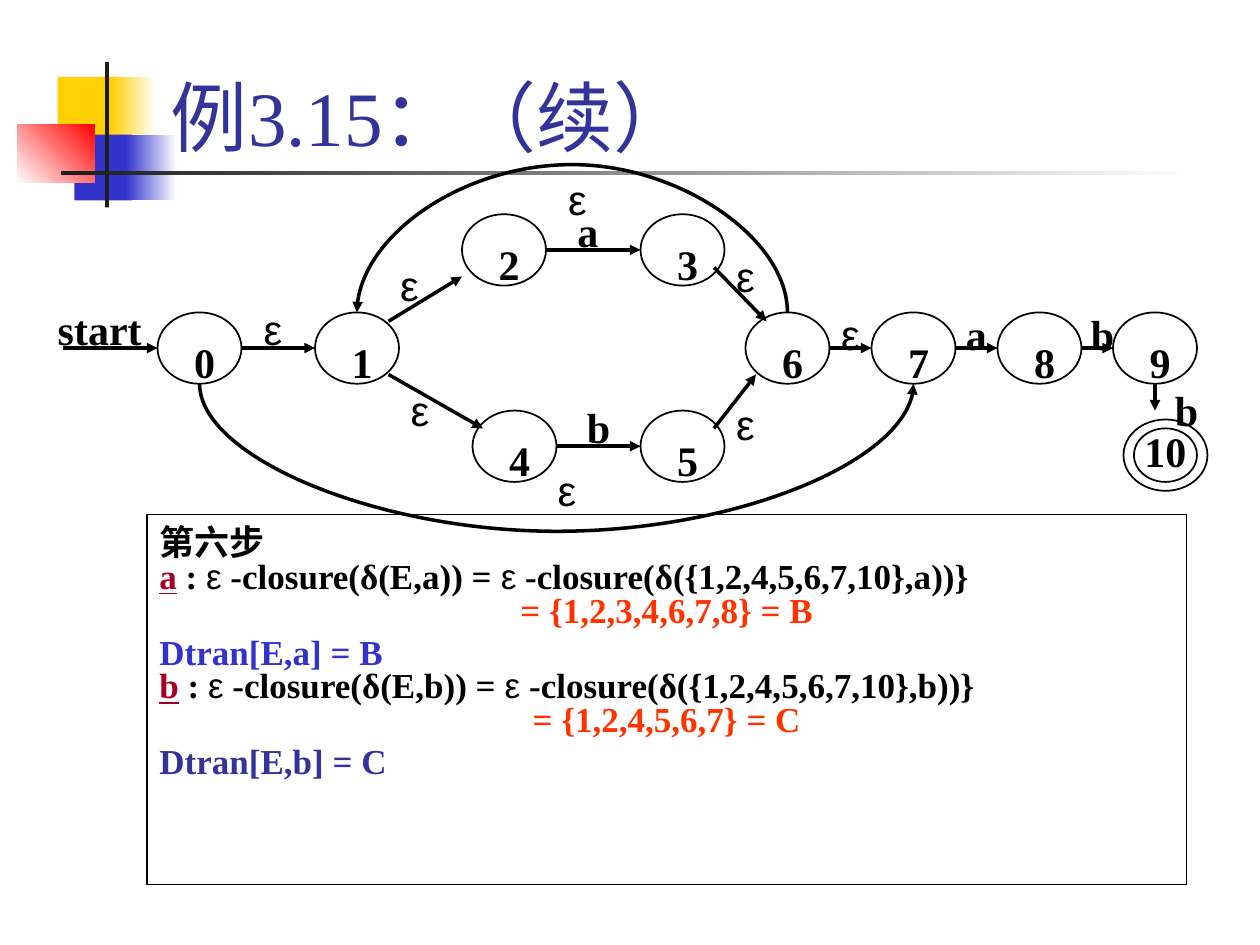
"""Build the slide that traces step six of an NFA to DFA conversion."""
from lxml.etree import SubElement
from pptx import Presentation
from pptx.dml.color import RGBColor
from pptx.enum.shapes import MSO_CONNECTOR, MSO_SHAPE
from pptx.enum.text import MSO_ANCHOR, MSO_AUTO_SIZE, PP_ALIGN
from pptx.oxml.ns import qn
from pptx.util import Pt

COLORS = {
    "black": "000000", "white": "FFFFFF", "ink": "1C1C1C", "yellow": "FFCF01",
    "blue": "3333CC", "red": "FF0000", "navy": "333399", "crimson": "A50021",
    "orange": "FF3300",
}
SERIF, SANS = "Times New Roman", "Arial"


def add_span(para, text, size=24, color="black", bold=True, underline=False):
    span = para.add_run()
    span.text = text
    epsilon = text == "ε"
    span.font.name = SANS if epsilon else SERIF
    span.font.size = Pt(size)
    span.font.bold = bold and not epsilon
    span.font.underline = underline
    span.font.color.rgb = RGBColor.from_string(COLORS[color])


def add_arrow(kind, start_x, start_y, end_x, end_y):
    arrow = page.shapes.add_connector(kind, Pt(start_x), Pt(start_y), Pt(end_x), Pt(end_y))
    arrow.line.color.rgb = RGBColor.from_string(COLORS["black"])
    arrow.line.width = Pt(2)
    SubElement(arrow.line._get_or_add_ln(), qn("a:tailEnd"), type="triangle")
    SubElement(arrow._element.spPr, qn("a:effectLst"))
    return arrow


deck = Presentation()
deck.slide_width, deck.slide_height = Pt(720), Pt(540)
page = deck.slides.add_slide(deck.slide_layouts[5])

decorations = [
    (33, 44, 35, 37.5, "yellow", None, 0),
    (63, 44, 26, 37.5, "yellow", "white", 0),
    (42.5, 77, 33, 37.5, "blue", None, 0),
    (72, 77, 29, 37.5, "blue", "white", 0),
    (10, 71, 44, 33.5, "white", "red", 45),
    (60, 35.5, 2.25, 83, "ink", None, 0),
    (34.8, 97.8, 648, 2.25, "ink", "white", 0),
]
for left, top, width, height, first, last, angle in decorations:
    block = page.shapes.add_shape(MSO_SHAPE.RECTANGLE, Pt(left), Pt(top), Pt(width), Pt(height))
    block.shadow.inherit = False
    block.line.fill.background()
    if last:
        block.fill.gradient()
        block.fill.gradient_angle = angle
        for stop, position, color in zip(block.fill.gradient_stops, (0, 1), (first, last)):
            stop.position = position
            stop.color.rgb = RGBColor.from_string(COLORS[color])
    else:
        block.fill.solid()
        block.fill.fore_color.rgb = RGBColor.from_string(COLORS[first])

title = page.shapes.title
title.left, title.top, title.width, title.height = Pt(90.5), Pt(6), Pt(613.5), Pt(90)
title.text_frame.vertical_anchor = MSO_ANCHOR.BOTTOM
title.text_frame.paragraphs[0].alignment = PP_ALIGN.LEFT
add_span(title.text_frame.paragraphs[0], "例3.15：（续）", size=44, color="navy", bold=False)

top_row, middle_row, bottom_row = 122.4, 178.5, 234.6
node_width, node_height = 48, 40.8
states = {
    "0": (90, middle_row), "1": (180, middle_row), "2": (264, top_row),
    "3": (366, top_row), "4": (270, bottom_row), "5": (366, bottom_row),
    "6": (426, middle_row), "7": (498, middle_row), "8": (570, middle_row),
    "9": (636, middle_row),
}
ovals = [(left, top, node_width, node_height) for left, top in states.values()]
ovals += [(642, 239.7, node_width, node_height), (648, 244.8, 36, 30.6)]
frames = [(MSO_SHAPE.OVAL, *oval) for oval in ovals]
frames.append((MSO_SHAPE.RECTANGLE, 84, 294, 594, 211.5))
for kind, left, top, width, height in frames:
    outline = page.shapes.add_shape(kind, Pt(left), Pt(top), Pt(width), Pt(height))
    outline.shadow.inherit = False
    outline.fill.background()
    outline.line.color.rgb = RGBColor.from_string(COLORS["black"])
    outline.line.width = Pt(1)

arrows = [(36, 198.9, 90, 198.9)]
for source, target in ("01", "23", "45", "67", "78", "89"):
    start_x, row = states[source]
    center_y = row + node_height / 2
    arrows.append((start_x + node_width, center_y, states[target][0], center_y))
arrows += [
    (222, 183.6, 264, 158), (222, 214, 276, 244.8), (408, 152.8, 438, 183.6),
    (408, 244.8, 432, 214), (660, 219.3, 660, 234.6),
]
for ends in arrows:
    add_arrow(MSO_CONNECTOR.STRAIGHT, *ends)

bend_width = 0.1
curves = [
    (114, 522, middle_row + node_height, 74400000, False),
    (204, 450, middle_row, -74400000, True),
]
for left, right, level, bend, flipped in curves:
    span_length = right - left
    curve = add_arrow(MSO_CONNECTOR.CURVE, 0, 0, bend_width, span_length)
    curve.left = Pt((left + right - bend_width) / 2)
    curve.top = Pt(level - span_length / 2)
    frame = curve._element.spPr.find(qn("a:xfrm"))
    frame.set("rot", "16200000")
    frame.set("flipH", "1")
    if flipped:
        frame.set("flipV", "1")
    guides = curve._element.spPr.find(qn("a:prstGeom")).find(qn("a:avLst"))
    SubElement(guides, qn("a:gd"), name="adj1", fmla=f"val {bend}")

labels = [(name, left + 12, top + 10.2, 30) for name, (left, top) in states.items()]
labels += [("10", 642, 239.7, 48), ("start", 24, 170, 66)]
labels += [("ε", left, top, 36) for left, top in (
    (138, 170), (216, 144.7), (222, 216), (306, 262), (312, 95.8),
    (408, 139.7), (408, 224), (468, 173),
)]
labels += [
    ("a", 540, 173, 36), ("a", 318, 113.8, 36), ("b", 324, 226, 36),
    ("b", 612, 173, 36), ("b", 660, 216, 36),
]
for text, left, top, width in labels:
    box = page.shapes.add_textbox(Pt(left), Pt(top), Pt(width), Pt(36))
    box.text_frame.word_wrap = True
    box.text_frame.auto_size = MSO_AUTO_SIZE.SHAPE_TO_FIT_TEXT
    para = box.text_frame.paragraphs[0]
    para.alignment = PP_ALIGN.CENTER
    add_span(para, text)

box = page.shapes.add_textbox(Pt(84), Pt(294), Pt(594), Pt(156))
box.text_frame.word_wrap = True
box.text_frame.auto_size = MSO_AUTO_SIZE.SHAPE_TO_FIT_TEXT
add_span(box.text_frame.paragraphs[0], "第六步", size=20)
steps = [
    ("a", "= {1,2,3,4,6,7,8} = B", "B", "blue"),
    ("b", "= {1,2,4,5,6,7} = C", "C", "navy"),
]
for symbol, closure, result, color in steps:
    para = box.text_frame.add_paragraph()
    para.line_spacing = 0.8
    add_span(para, symbol, size=20, color="crimson", underline=True)
    for text in (" : ", "ε", f" -closure(δ(E,{symbol})) = ", "ε",
                 f" -closure(δ({{1,2,4,5,6,7,10}},{symbol}))}}"):
        add_span(para, text, size=20)
    para = box.text_frame.add_paragraph()
    para.line_spacing = 0.8
    para.alignment = PP_ALIGN.CENTER
    add_span(para, closure, size=20, color="orange")
    para = box.text_frame.add_paragraph()
    add_span(para, f"Dtran[E,{symbol}] = {result}", size=20, color=color)

deck.save("out.pptx")
